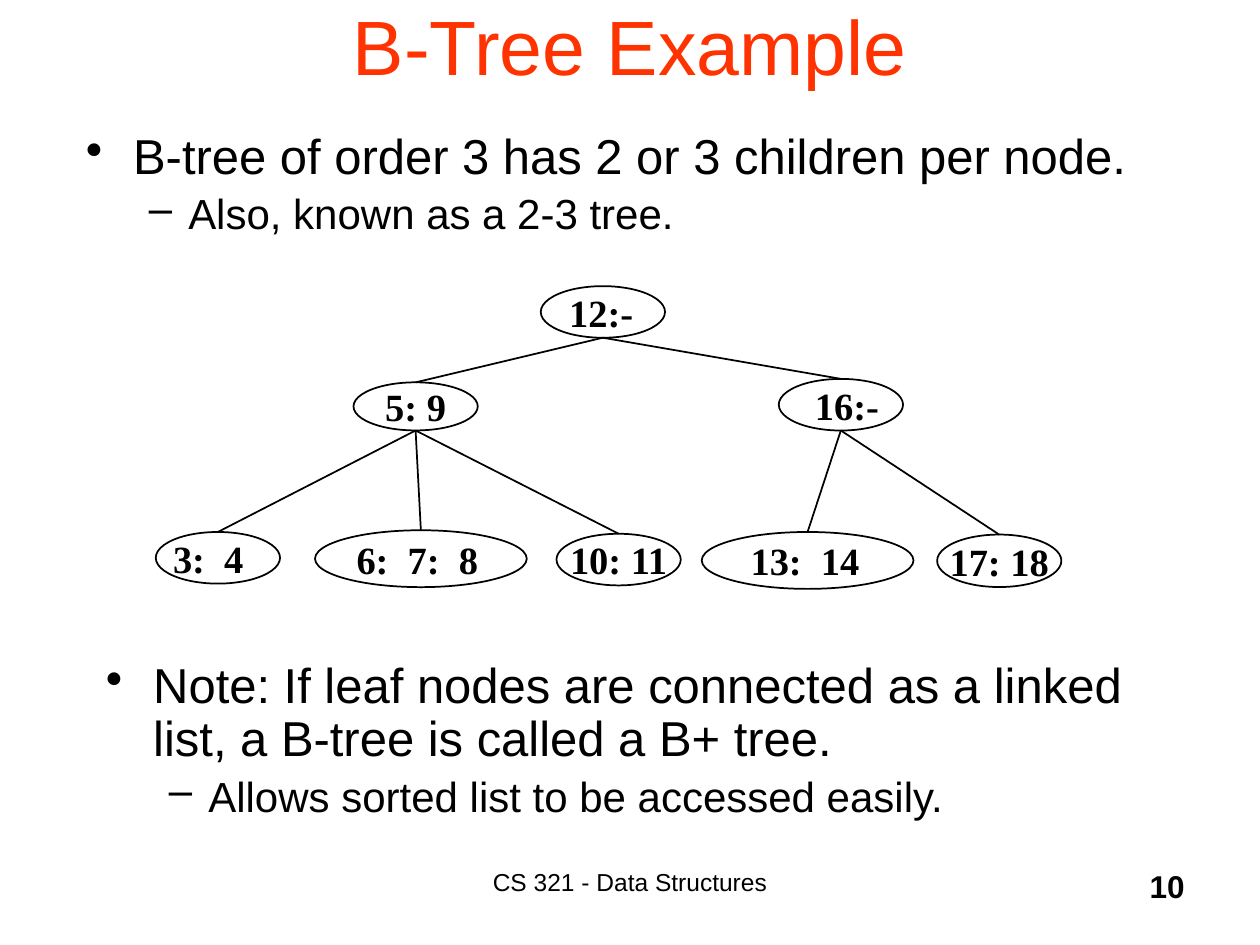
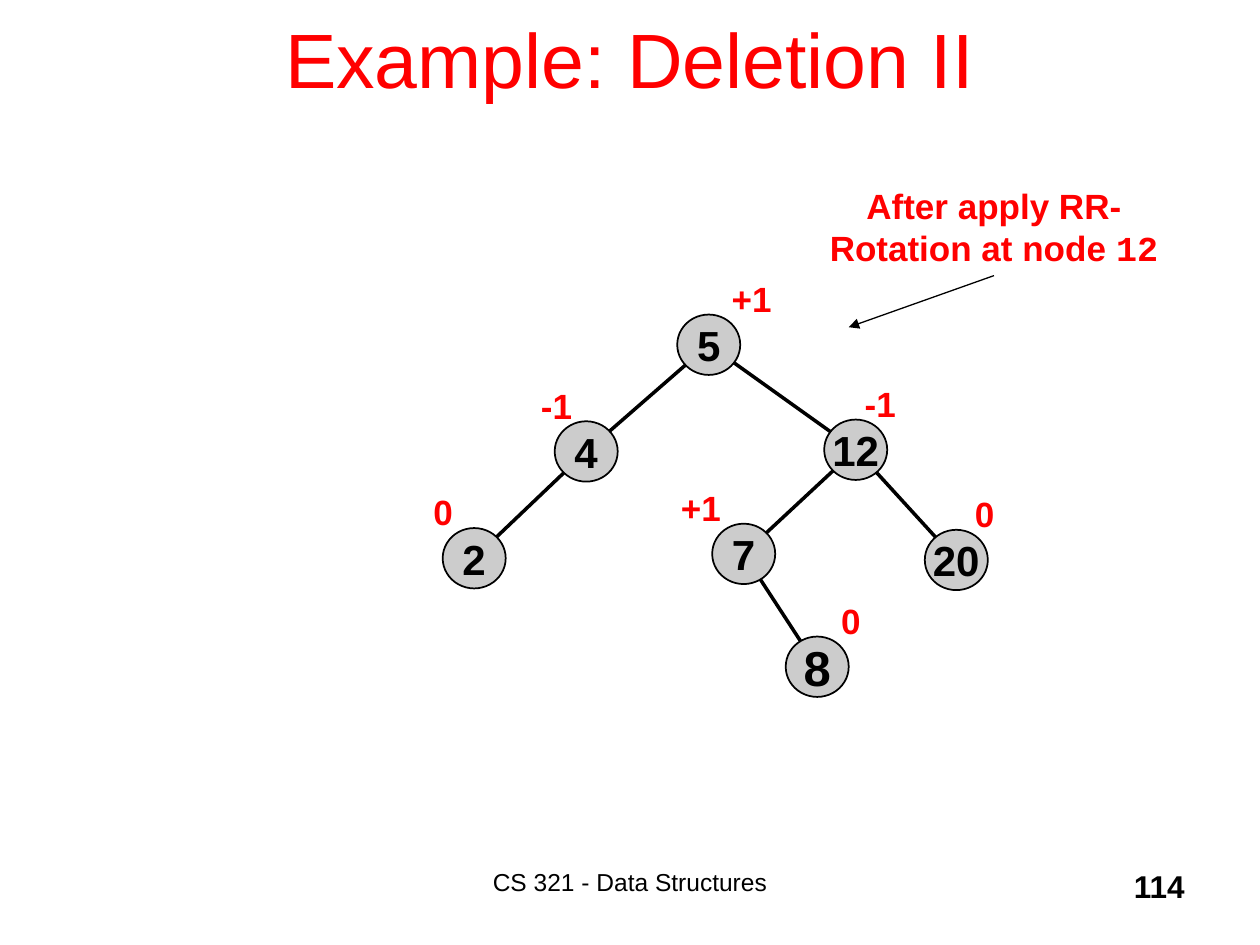
import math

import pptx
import pptx.dml.color
import pptx.enum.shapes
import pptx.enum.text
import pptx.oxml.ns
import pptx.util
from lxml import etree

Pt = pptx.util.Pt
ALIGN = pptx.enum.text.PP_ALIGN
MIDDLE = pptx.enum.text.MSO_ANCHOR.MIDDLE
TITLE_ONLY = 5

BLACK = "000000"
RED = "FF0000"
ORANGE = "FF3300"
GREY = "CCCCCC"
SANS, SERIF, MONO = "Arial", "Times New Roman", "Courier New"

FOOTER_BOX = (222, 492, 276, 36)
NUMBER_BOX = (534, 492, 150, 36)

# level: (text size, left margin, hanging indent, bullet)
BULLETS = {0: (28, 27, -27, "•"), 1: (24, 58.5, -22.5, "–")}

# label: (left, top, width, height, label shift), relative to the tree box
B_TREE_NODES = {
    "12:-": (220, 0, 71, 29.5, -1),
    "5: 9": (113, 55, 71, 27.5, 0),
    "16:-": (356, 53, 71, 29.5, 3.5),
    "3:  4": (0, 140.5, 71, 29.5, -5.5),
    "6:  7:  8": (91, 139.5, 121, 32.5, -2),
    "10: 11": (229, 141.5, 71, 29.5, 0),
    "13:  14": (312, 140.5, 121, 32.5, -1.5),
    "17: 18": (446.5, 142, 71, 30, 0),
}
B_TREE_CHILDREN = {
    "12:-": ["5: 9", "16:-"],
    "5: 9": ["3:  4", "6:  7:  8", "10: 11"],
    "16:-": ["13:  14", "17: 18"],
}

# key: (centre x, centre y, balance factor, shift of its box, key size)
AVL_NODES = {
    "5": (152, 41, "+1", 6, 24),
    "12": (236, 101, "-1", -2, 24),
    "4": (82, 102, "-1", -33, 24),
    "2": (18, 163, "0", -30.5, 24),
    "20": (293.5, 164, "0", 3.5, 24),
    "7": (172, 160.5, "+1", -43, 24),
    "8": (214, 225, "0", 6.5, 28),
}
AVL_EDGES = [("5", "4"), ("5", "12"), ("4", "2"), ("12", "7"), ("12", "20"), ("7", "8")]
CIRCLE_WIDTH, CIRCLE_HEIGHT = 36, 34.5
EDGE_TRIM = 17.5
BALANCE_RISE = 42


def color(hex_code):
    return pptx.dml.color.RGBColor.from_string(hex_code)


def style(font, size, hex_code=BLACK, bold=False, name=SANS):
    font.size = Pt(size)
    font.name = name
    font.bold = bold
    font.color.rgb = color(hex_code)


def add_text(page, box, text, size, hex_code=BLACK, bold=False, align=ALIGN.LEFT):
    """Add a one-paragraph text box and return its paragraph."""
    frame = page.shapes.add_textbox(*map(Pt, box)).text_frame
    frame.word_wrap = True
    para = frame.paragraphs[0]
    para.text = text
    para.alignment = align
    style(para.font, size, hex_code, bold)
    return para


def add_line(page, start, end, width, arrow=False):
    line = page.shapes.add_connector(
        pptx.enum.shapes.MSO_CONNECTOR.STRAIGHT, *map(Pt, (*start, *end)))
    line.line.width = Pt(width)
    line.line.color.rgb = color(BLACK)
    qn = pptx.oxml.ns.qn
    if arrow:
        etree.SubElement(line.line._get_or_add_ln(), qn("a:tailEnd"), type="triangle")
    etree.SubElement(line._element.spPr, qn("a:effectLst"))


def add_node(page, box, label, size, font_name=SANS, fill=None, shift=0):
    """Add an outlined ellipse whose bold label sits `shift` points off centre."""
    node = page.shapes.add_shape(
        pptx.enum.shapes.MSO_SHAPE.OVAL, *map(Pt, box))
    node.shadow.inherit = False
    if fill:
        node.fill.solid()
        node.fill.fore_color.rgb = color(fill)
    else:
        node.fill.background()
    node.line.color.rgb = color(BLACK)
    node.line.width = Pt(1)
    frame = node.text_frame
    frame.word_wrap = False
    frame.vertical_anchor = MIDDLE
    frame.margin_top = frame.margin_bottom = 0
    frame.margin_left = Pt(max(0, 2 * shift))
    frame.margin_right = Pt(max(0, -2 * shift))
    para = frame.paragraphs[0]
    para.text = label
    para.alignment = ALIGN.CENTER
    style(para.font, size, bold=True, name=font_name)


def add_bullets(page, box, items):
    """Add a bulleted list from (level, text) pairs."""
    frame = page.shapes.add_textbox(*map(Pt, box)).text_frame
    frame.word_wrap = True
    for index, (level, text) in enumerate(items):
        para = frame.add_paragraph() if index else frame.paragraphs[0]
        size, margin, indent, bullet = BULLETS[level]
        para.text = text
        para.level = level
        para.line_spacing = 0.9
        if index:
            para.space_before = Pt(size * 0.2)
        properties = para._p.get_or_add_pPr()
        properties.set("marL", str(Pt(margin)))
        properties.set("indent", str(Pt(indent)))
        etree.SubElement(properties, pptx.oxml.ns.qn("a:buChar"), char=bullet)
        style(para.font, size)


def add_page(deck, title, title_box, title_color, number):
    """Add a page with its title, footer and page number."""
    page = deck.slides.add_slide(deck.slide_layouts[TITLE_ONLY])
    holder = page.shapes.title
    holder.left, holder.top, holder.width, holder.height = map(Pt, title_box)
    frame = holder.text_frame
    frame.text = title
    frame.auto_size = pptx.enum.text.MSO_AUTO_SIZE.NONE
    frame.vertical_anchor = MIDDLE
    frame.paragraphs[0].alignment = ALIGN.CENTER
    style(frame.paragraphs[0].font, 44, title_color)
    add_text(page, FOOTER_BOX, "CS 321 - Data Structures", 14, align=ALIGN.CENTER)
    add_text(page, NUMBER_BOX, number, 18, bold=True, align=ALIGN.RIGHT)
    return page


def draw_b_tree(page, left, top):
    for label, (x, y, width, height, shift) in B_TREE_NODES.items():
        add_node(page, (left + x, top + y, width, height), label, 22, SERIF, shift=shift)
    for parent, children in B_TREE_CHILDREN.items():
        x, y, width, height, _ = B_TREE_NODES[parent]
        parent_bottom = (left + x + width / 2, top + y + height)
        for child in children:
            x, y, width, _, _ = B_TREE_NODES[child]
            add_line(page, parent_bottom, (left + x + width / 2, top + y), 1)


def draw_avl_tree(page, left, top):
    for key, (x, y, balance, shift, size) in AVL_NODES.items():
        x, y = left + x, top + y
        circle = (x - CIRCLE_WIDTH / 2, y - CIRCLE_HEIGHT / 2, CIRCLE_WIDTH, CIRCLE_HEIGHT)
        add_node(page, circle, key, size, fill=GREY)
        add_text(page, (x + shift, y - BALANCE_RISE, 40, 31.5), balance, 20, RED, True)
    for parent, child in AVL_EDGES:
        x1, y1 = AVL_NODES[parent][:2]
        x2, y2 = AVL_NODES[child][:2]
        angle = math.atan2(y2 - y1, x2 - x1)
        dx, dy = EDGE_TRIM * math.cos(angle), EDGE_TRIM * math.sin(angle)
        add_line(page, (left + x1 + dx, top + y1 + dy), (left + x2 - dx, top + y2 - dy), 2)


def draw_callout(page, left, top, width, height):
    para = add_text(page, (left, top, width, height), "After apply RR-Rotation at node ",
                    20, RED, True, ALIGN.CENTER)
    span = para.add_run()
    span.text = "12"
    span.font.name = MONO
    tail_x, tail_y = left + width / 2, top + height
    add_line(page, (tail_x, tail_y), (tail_x - 83, tail_y + 29.5), 0.75, arrow=True)


def build_b_tree_page(deck):
    page = add_page(deck, "B-Tree Example", (37, -6.5, 646, 63.5), ORANGE, "10")
    add_bullets(page, (42, 72, 612, 75), [
        (0, "B-tree of order 3 has 2 or 3 children per node."),
        (1, "Also, known as a 2-3 tree."),
    ])
    add_bullets(page, (53.5, 374.5, 612, 111.5), [
        (0, "Note: If leaf nodes are connected as a linked list, a B-tree is called a B+ tree."),
        (1, "Allows sorted list to be accessed easily."),
    ])
    draw_b_tree(page, 89, 163.5)


def build_deletion_page(deck):
    page = add_page(deck, "Example: Deletion II", (54, -12, 612, 90), RED, "114")
    draw_avl_tree(page, 253, 156)
    draw_callout(page, 465, 102, 206, 55.5)


def main():
    deck = pptx.Presentation()
    deck.slide_width, deck.slide_height = Pt(720), Pt(540)
    build_b_tree_page(deck)
    build_deletion_page(deck)
    deck.save("out.pptx")


if __name__ == "__main__":
    main()
